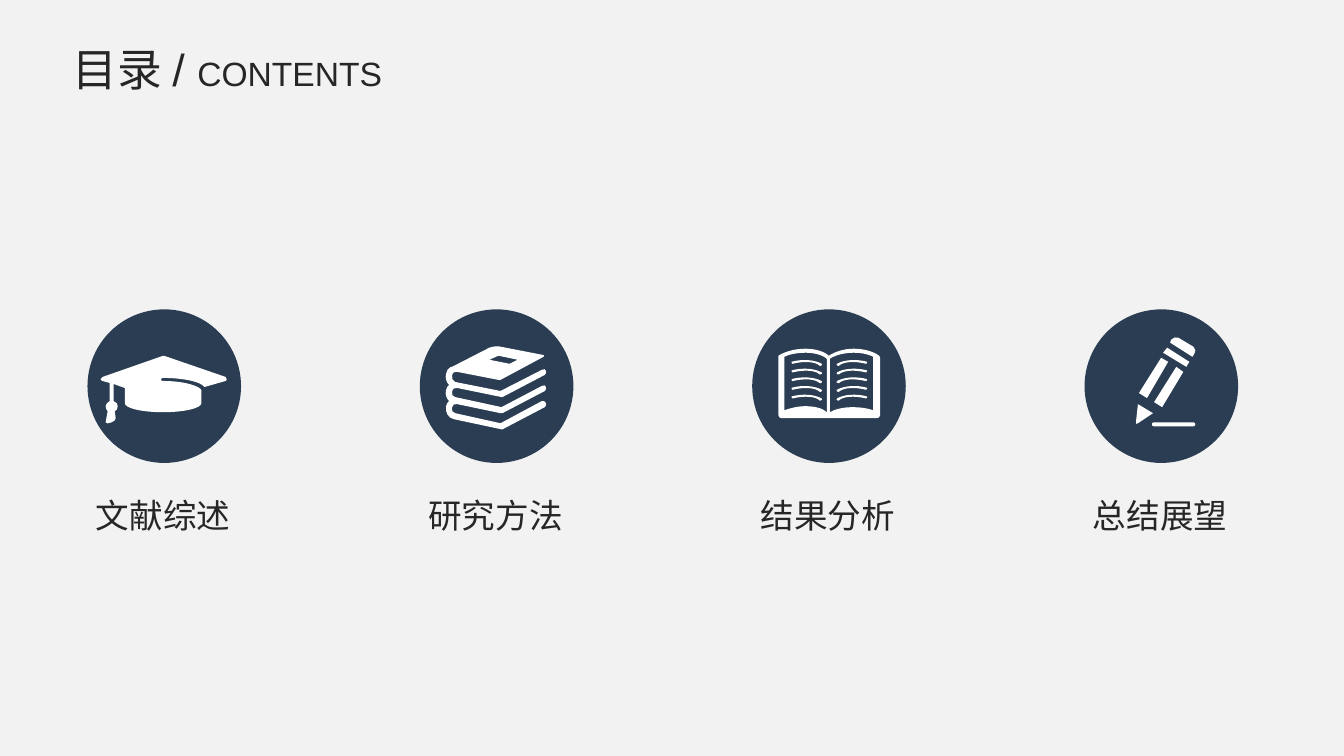
"""Build a contents slide with four icon badges."""
from dataclasses import dataclass

from lxml import etree
from pptx import Presentation
from pptx.dml.color import RGBColor
from pptx.enum import shapes, text
from pptx.oxml import ns
from pptx.util import Pt


@dataclass(frozen=True)
class Theme:
    """Hold the colours, fonts and type sizes."""
    back: str = "F2F2F2"
    navy: str = "2A3D52"
    white: str = "FFFFFF"
    ink: str = "262626"
    latin: str = "Arial"
    cjk: str = "Noto Sans CJK SC"
    head: int = 32
    body: int = 24


THEME = Theme()
PITCH = 237.4
UNIT = 0.72
FINE = 100

CAP = [[
    (15, 67), (75, 46), (76, 46), (137, 67), (138, 68, 138, 68, 138, 69),
    (138, 70, 138, 71, 137, 71), (116, 77), (112, 71, 92, 68, 75, 68),
    (74, 68, 73, 68, 73, 70), (73, 71, 74, 71, 75, 71),
    (96, 71, 111, 76, 113, 80), (113, 93), (113, 98, 96, 102, 75, 102),
    (54, 102, 37, 98, 37, 93), (37, 78), (26, 74), (26, 91),
    (29, 92, 30, 94, 30, 96), (30, 99, 29, 100, 27, 101), (28, 108),
    (29, 111, 18, 115, 18, 112), (20, 101), (19, 100, 18, 98, 18, 96),
    (18, 94, 20, 92, 22, 91), (22, 73), (15, 71), (14, 71, 13, 70, 13, 69),
    (13, 68, 14, 68, 15, 67)]]

BOOKS = [[
    (80, 103), (82, 103), (124, 81), (125, 80, 126, 78, 125, 77),
    (125, 75, 123, 75, 121, 76), (81, 97), (35, 87), (33, 87, 31, 84, 32, 82),
    (32, 79, 35, 77, 37, 78), (81, 87), (82, 87), (124, 65),
    (125, 64, 126, 62, 125, 61), (125, 59, 123, 59, 121, 60), (80, 81),
    (35, 72), (33, 71, 31, 68, 32, 66), (32, 63, 35, 61, 37, 62), (78, 70),
    (80, 70), (121, 48), (124, 47, 124, 45, 121, 45), (80, 37),
    (77, 36, 72, 37, 69, 38), (32, 57), (31, 57), (28, 59, 26, 61, 26, 64),
    (25, 68, 26, 72, 29, 75), (28, 76, 26, 78, 26, 80),
    (25, 84, 26, 88, 29, 91), (28, 92, 26, 94, 26, 96),
    (25, 102, 28, 108, 34, 109), (81, 119), (82, 119), (124, 97),
    (125, 96, 126, 94, 125, 93), (125, 91, 123, 91, 121, 91), (80, 113),
    (35, 103), (33, 103, 31, 100, 32, 97), (32, 95, 35, 93, 37, 94)],
    [(78, 46), (97, 50), (89, 54), (69, 50)]]

COVER = [
    [(126, 46), (121, 42, 111, 39, 101, 39), (91, 39, 82, 42, 76, 46),
     (72, 42, 63, 39, 53, 39), (42, 39, 32, 42, 26, 46), (26, 105),
     (26, 106, 27, 108, 29, 108), (123, 108), (125, 108, 127, 107, 127, 105),
     (127, 48), (127, 47, 127, 47, 126, 46)],
    [(74, 49), (74, 102), (70, 98, 62, 96, 52, 96), (45, 96, 38, 98, 32, 100),
     (32, 47), (32, 47, 39, 43, 53, 43), (68, 43, 74, 49, 74, 49)],
    [(120, 47), (120, 100), (114, 98, 107, 97, 100, 97),
     (90, 97, 82, 99, 77, 102), (77, 49), (77, 49, 85, 43, 101, 43),
     (113, 43, 120, 47, 120, 47)]]

RULE = [(68, 56), (67, 56), (63, 52, 52, 51, 40, 54), (39, 54, 39, 54, 39, 53),
        (39, 52), (50, 49, 62, 50, 69, 54), (70, 54.5, 69, 56, 68, 56)]

PENCIL = [
    [(86, 30), (88, 28, 91, 27, 93, 28), (108, 37), (110, 39, 111, 42, 109, 44),
     (107, 47), (85, 33)],
    [(82, 38), (78, 43), (101, 57), (104, 52)],
    [(51, 112), (53, 94), (68, 103), (53, 113), (52, 114, 51, 114, 51, 112)],
    [(54, 83), (76, 48), (83, 52), (62, 88)],
    [(69, 92), (91, 57), (98, 62), (77, 97)],
    [(69, 112), (108, 112), (109, 112, 110, 113, 110, 114),
     (110, 115, 109, 116, 108, 116), (69, 116), (67, 116, 67, 115, 67, 114),
     (67, 113, 67, 112, 69, 112)]]


def shift(ring, dy, flip=False):
    """Move an outline down, and mirror it across the spine on request."""
    return [tuple(v + dy if k % 2 else 153 - v if flip else v
                  for k, v in enumerate(node)) for node in ring]


def trace(ring):
    """List the fine points of an outline, control points included."""
    return [(node[k] * FINE, node[k + 1] * FINE)
            for node in ring for k in range(0, len(node), 2)]


def bend(shape, rings):
    """Join each three segments that stand for a curve into one."""
    lines = iter(list(shape._element.iter(ns.qn("a:lnTo"))))
    for ring in rings:
        for node in ring[1:]:
            parts = [next(lines) for _ in range(len(node) // 2)]
            if len(parts) == 1:
                continue
            home = parts[0].getparent()
            curve = etree.SubElement(home, ns.qn("a:cubicBezTo"))
            parts[0].addprevious(curve)
            for part in parts:
                curve.append(part[0])
                home.remove(part)


def paint(shape, color):
    """Give a shape a flat fill without line or shadow."""
    shape.shadow.inherit = False
    shape.fill.solid()
    shape.fill.fore_color.rgb = RGBColor.from_string(color)
    shape.line.fill.background()


def draw(group, rings, left, top):
    """Draw outlines as one white freeform."""
    first, *rest = map(trace, rings)
    pen = group.shapes.build_freeform(*first[0], scale=Pt(UNIT) / FINE)
    pen.add_line_segments(first[1:], close=False)
    for dots in rest:
        pen.move_to(*dots[0])
        pen.add_line_segments(dots[1:], close=False)
    shape = pen.convert_to_shape(Pt(left), Pt(top))
    bend(shape, rings)
    paint(shape, THEME.white)


def badge(slide, icon, left, top=221):
    """Place a round badge with its icon in a group."""
    group = slide.shapes.add_group_shape()
    disc = group.shapes.add_shape(shapes.MSO_SHAPE.OVAL, Pt(left), Pt(top),
                                  Pt(109.7), Pt(109.7))
    paint(disc, THEME.navy)
    for rings in icon:
        draw(group, rings, left, top)


def style(run, size, face):
    """Set size, colour and fonts of a run."""
    run.font.size = Pt(size)
    run.font.name = face
    run.font.color.rgb = RGBColor.from_string(THEME.ink)
    east = etree.SubElement(run.font._element, ns.qn("a:ea"))
    east.set("typeface", THEME.cjk)


def write(slide, parts, face, box, wrap=False):
    """Add a text box with one paragraph of sized runs."""
    frame = slide.shapes.add_textbox(*map(Pt, box)).text_frame
    frame.word_wrap = wrap
    frame.auto_size = text.MSO_AUTO_SIZE.SHAPE_TO_FIT_TEXT
    para = frame.paragraphs[0]
    if wrap:
        para.alignment = text.PP_ALIGN.CENTER
    for words, size in parts:
        run = para.add_run()
        run.text = words
        style(run, size, face)


def main():
    """Build and save the slide."""
    deck = Presentation()
    deck.slide_width, deck.slide_height = Pt(960), Pt(540)
    slide = deck.slides.add_slide(deck.slide_layouts[6])
    fill = slide.background.fill
    fill.solid()
    fill.fore_color.rgb = RGBColor.from_string(THEME.back)
    rules = [[shift(RULE, 8.6 * row, flip)] for flip in (False, True) for row in range(5)]
    topics = [("文献综述", [CAP]), ("研究方法", [BOOKS]),
              ("结果分析", [COVER, *rules]), ("总结展望", [PENCIL])]
    for k, (name, icon) in enumerate(topics):
        badge(slide, icon, 62.5 + k * PITCH)
        write(slide, [(name, THEME.body)], THEME.cjk, (61.4 + k * PITCH, 350, 111.6, 36))
    write(slide, [("目录 / ", THEME.head), ("CONTENTS", THEME.body)], THEME.latin,
          (18.4, 26, 288, 46), wrap=True)
    deck.save("out.pptx")


if __name__ == "__main__":
    main()
